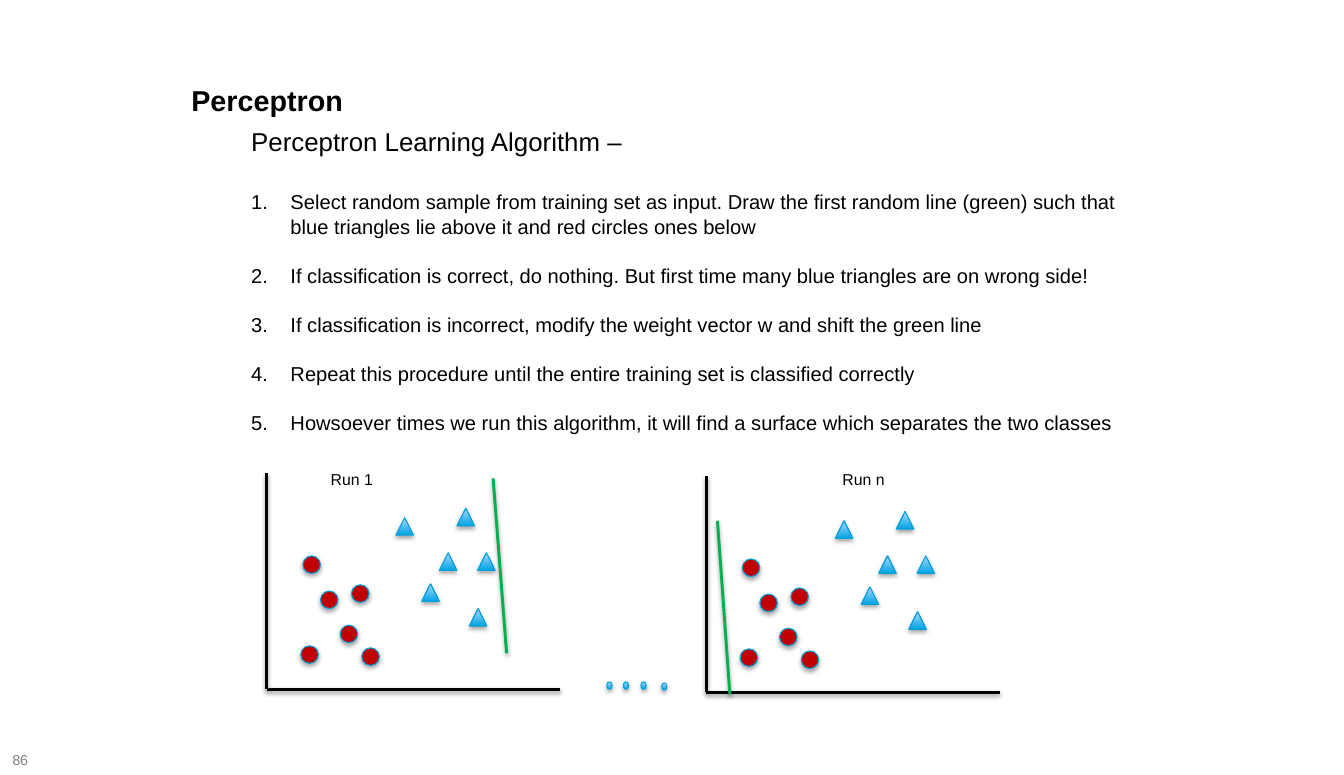
from lxml import etree
from pptx import Presentation
from pptx.dml.color import RGBColor
from pptx.enum.shapes import MSO_CONNECTOR, MSO_SHAPE
from pptx.enum.text import MSO_ANCHOR, MSO_AUTO_SIZE, PP_ALIGN
from pptx.oxml.ns import qn
from pptx.util import Inches, Pt

STRAIGHT = MSO_CONNECTOR.STRAIGHT
TRIANGLE, CIRCLE = MSO_SHAPE.ISOSCELES_TRIANGLE, MSO_SHAPE.OVAL
TOP, MIDDLE = MSO_ANCHOR.TOP, MSO_ANCHOR.MIDDLE
LEFT, FIXED = PP_ALIGN.LEFT, MSO_AUTO_SIZE.NONE

# Content
TITLE = "Perceptron"
HEADING = "Perceptron Learning Algorithm –"
STEPS = [
    "Select random sample from training set as input. Draw the first random line (green) "
    "such that blue triangles lie above it and red circles ones below",
    "If classification is correct, do nothing. But first time many blue triangles are on wrong side!",
    "If classification is incorrect, modify the weight vector w and shift the green line",
    "Repeat this procedure until the entire training set is classified correctly",
    "Howsoever times we run this algorithm, it will find a surface which separates the two classes",
]
PAGE_NUMBER = "86"

# Each run: label, label left, origin of the axes, ends of the green line
RUNS = [
    ("Run 1", 3.1, (2.58, 6.67), (4.77, 4.63), (4.9, 6.32)),
    ("Run n", 8.05, (6.83, 6.7), (6.94, 5.04), (7.06, 6.72)),
]
AXIS_WIDTH, AXIS_HEIGHT = 2.84, 2.09

# Markers, as offsets right of and above the origin to their top left corner
TRIANGLES = [(1.84, 1.75), (1.25, 1.66), (1.67, 1.32), (2.04, 1.32), (1.96, 0.78), (1.5, 1.02)]
CIRCLES = [(0.52, 0.95), (0.82, 1.01), (0.92, 0.4), (0.71, 0.62), (0.33, 0.42), (0.35, 1.29)]
MARKER = 0.17
DOTS = [(5.87, 6.6), (6.03, 6.6), (6.2, 6.6), (6.4, 6.61)]

BLACK, GREY, GREEN, RED = "000000", "808080", "00B050", "C00000"
BLUE, PALE_BLUE, EDGE = "00A3E2", "ADD8FF", "00A0DD"


def color(hex_code):
    return RGBColor.from_string(hex_code)


def style(paragraph, size, hex_code=BLACK, bold=False):
    for span in paragraph.runs:
        span.font.name = "Arial"
        span.font.size = Pt(size)
        span.font.bold = bold
        span.font.color.rgb = color(hex_code)


def place(shape, left, top, width, height):
    shape.left, shape.top = Inches(left), Inches(top)
    shape.width, shape.height = Inches(width), Inches(height)


def add_shadow(shape, distance, opacity):
    properties = shape._element.spPr
    for old in properties.findall(qn("a:effectLst")):
        properties.remove(old)
    effects = etree.SubElement(properties, qn("a:effectLst"))
    shadow = etree.SubElement(effects, qn("a:outerShdw"), blurRad=str(Pt(3.1)),
                              dist=str(Pt(distance)), dir="5400000", rotWithShape="0")
    tint = etree.SubElement(shadow, qn("a:srgbClr"), val=BLACK)
    etree.SubElement(tint, qn("a:alpha"), val=str(opacity * 1000))


def add_line(page, start, end, hex_code):
    line = page.shapes.add_connector(STRAIGHT, *[Inches(value) for value in start + end])
    line.line.color.rgb = color(hex_code)
    line.line.width = Pt(2)
    add_shadow(line, 1.6, 38)


def add_marker(page, kind, left, top, width, height, solid=None):
    marker = page.shapes.add_shape(kind, *[Inches(value) for value in (left, top, width, height)])
    if solid:
        marker.fill.solid()
        marker.fill.fore_color.rgb = color(solid)
    else:
        marker.fill.gradient()
        marker.fill.gradient_angle = 90
        for stop, hex_code, position in zip(marker.fill.gradient_stops, (BLUE, PALE_BLUE), (0, 1)):
            stop.color.rgb = color(hex_code)
            stop.position = position
    marker.line.color.rgb = color(EDGE)
    marker.line.width = Pt(0.75)
    add_shadow(marker, 1.8, 35)


def add_label(page, text, area, size, hex_code=BLACK, anchor=TOP):
    box = page.shapes.add_textbox(*[Inches(value) for value in area])
    frame = box.text_frame
    frame.word_wrap = True
    frame.vertical_anchor = anchor
    frame.text = text
    style(frame.paragraphs[0], size, hex_code)


def set_indent(paragraph, indent, numbered):
    properties = paragraph._p.get_or_add_pPr()
    properties.set("marL", str(Inches(indent)))
    properties.set("indent", str(-Inches(indent)))
    if numbered:
        etree.SubElement(properties, qn("a:buFont"), typeface="+mj-lt")
        etree.SubElement(properties, qn("a:buAutoNum"), type="arabicPeriod")
    else:
        etree.SubElement(properties, qn("a:buNone"))


def fill_text(page):
    title, body = page.shapes.title, page.placeholders[1]
    place(title, 1.75, 0.75, 5.5, 0.44)
    place(body, 2.33, 1.17, 8.87, 3.37)
    title.text_frame.text = TITLE
    body.text_frame.text = "\n".join([HEADING] + STEPS)
    for holder in (title, body):
        holder.text_frame.auto_size = FIXED
        holder.text_frame.vertical_anchor = TOP
    title.text_frame.paragraphs[0].alignment = LEFT
    style(title.text_frame.paragraphs[0], 20, bold=True)

    heading, *steps = body.text_frame.paragraphs
    set_indent(heading, 0, numbered=False)
    heading.space_before = Pt(0)
    style(heading, 18)
    for index, step in enumerate(steps):
        set_indent(step, 0.38, numbered=True)
        step.line_spacing = 1.04
        step.space_before = Pt(16.7 if index else 22)
        style(step, 14)


def draw_run(page, label, label_left, origin, line_start, line_end):
    x, y = origin
    add_line(page, (x, y - AXIS_HEIGHT), origin, BLACK)
    add_line(page, (x + AXIS_WIDTH, y), origin, BLACK)
    for kind, offsets, solid in ((TRIANGLE, TRIANGLES, None), (CIRCLE, CIRCLES, RED)):
        for right, up in offsets:
            add_marker(page, kind, x + right, y - up, MARKER, MARKER, solid)
    add_line(page, line_start, line_end, GREEN)
    add_label(page, label, (label_left, 4.5, 0.99, 0.29), 11)


def main():
    deck = Presentation()
    deck.slide_width, deck.slide_height = Inches(13), Inches(7.5)
    page = deck.slides.add_slide(deck.slide_layouts[1])
    fill_text(page)

    # The two scatter plots and the dots between them
    for run in RUNS:
        draw_run(page, *run)
    for left, top in DOTS:
        add_marker(page, CIRCLE, left, top, 0.05, 0.07)

    # Page number
    add_label(page, PAGE_NUMBER, (0.02, 7.27, 0.51, 0.16), 10, GREY, MIDDLE)
    deck.save("out.pptx")


if __name__ == "__main__":
    main()
